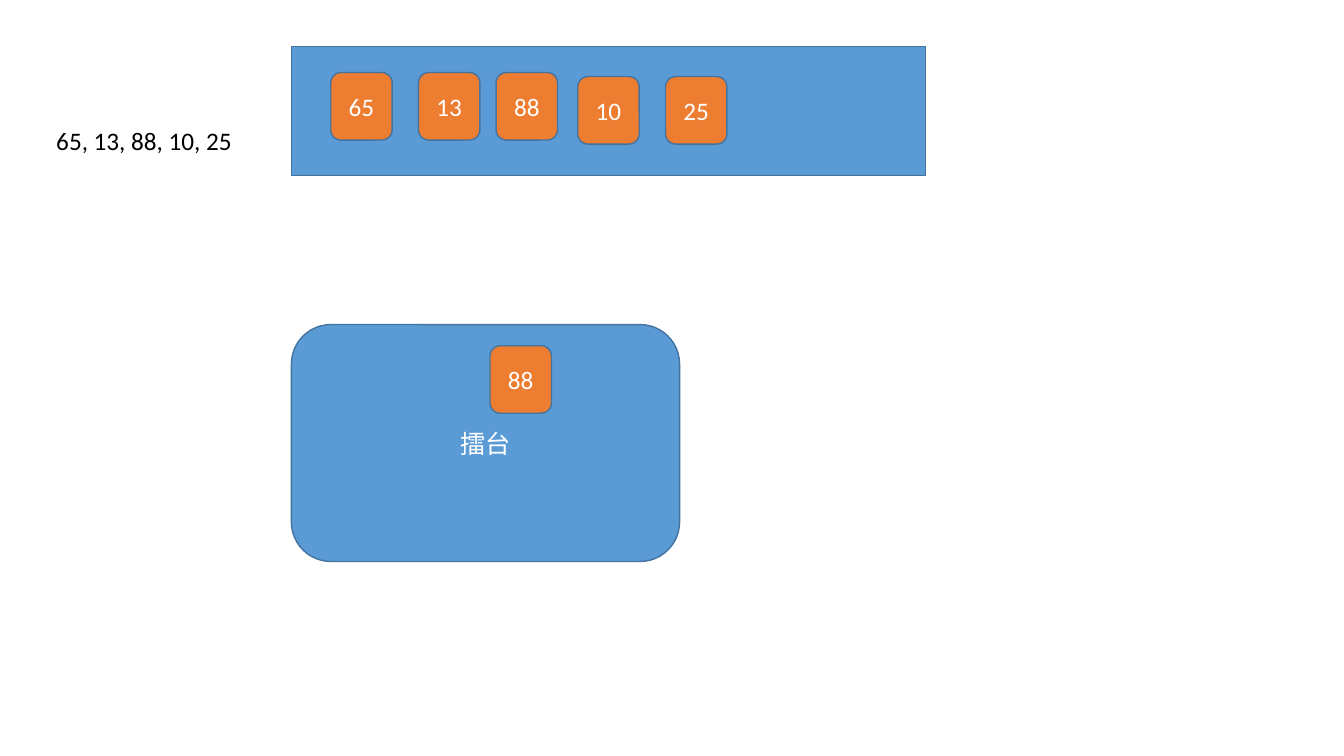
import pptx
import pptx.dml.color
import pptx.enum.shapes
import pptx.enum.text
import pptx.util

Inches = pptx.util.Inches
SHAPES = pptx.enum.shapes.MSO_SHAPE
ALIGN = pptx.enum.text.PP_ALIGN
ANCHOR = pptx.enum.text.MSO_ANCHOR
AUTO_SIZE = pptx.enum.text.MSO_AUTO_SIZE

BLUE, ORANGE, OUTLINE = "5B9BD5", "ED7D31", "43739E"
WHITE, BLACK = "FFFFFF", "000000"


def color(hex_string):
    return pptx.dml.color.RGBColor.from_string(hex_string)


class SlideBuilder:
    """Holds the text style and the current slide."""

    font_format = {"name": "Calibri", "size": pptx.util.Pt(18)}

    def __init__(self, slide):
        self.slide = slide

    def set_text(self, shape, text, text_color, alignment, frame_format):
        frame = shape.text_frame
        for name, value in frame_format.items():
            setattr(frame, name, value)
        paragraph = frame.paragraphs[0]
        paragraph.alignment = alignment
        run = paragraph.add_run()
        run.text = text
        for name, value in self.font_format.items():
            setattr(run.font, name, value)
        run.font.color.rgb = color(text_color)

    def box(self, kind, left, top, width, height, fill, text=""):
        shape = self.slide.shapes.add_shape(
            kind, Inches(left), Inches(top), Inches(width), Inches(height))
        shape.shadow.inherit = False
        shape.fill.solid()
        shape.fill.fore_color.rgb = color(fill)
        shape.line.color.rgb = color(OUTLINE)
        shape.line.width = pptx.util.Pt(1)
        if text:
            self.set_text(shape, text, WHITE, ALIGN.CENTER,
                          {"vertical_anchor": ANCHOR.MIDDLE, "word_wrap": True})

    def card(self, left, top, number):
        self.box(SHAPES.ROUNDED_RECTANGLE, left, top, 0.61, 0.67, ORANGE, str(number))

    def label(self, left, top, width, height, text):
        shape = self.slide.shapes.add_textbox(
            Inches(left), Inches(top), Inches(width), Inches(height))
        self.set_text(shape, text, BLACK, ALIGN.LEFT,
                      {"word_wrap": False, "auto_size": AUTO_SIZE.SHAPE_TO_FIT_TEXT})


presentation = pptx.Presentation()
presentation.slide_width = Inches(13.33)
presentation.slide_height = Inches(7.5)
builder = SlideBuilder(presentation.slides.add_slide(presentation.slide_layouts[6]))

# Row of numbers waiting in the array
cards = [(3.28, 0.72, 65), (4.15, 0.72, 13), (4.92, 0.72, 88),
         (5.73, 0.76, 10), (6.6, 0.76, 25)]
builder.box(SHAPES.RECTANGLE, 2.89, 0.46, 6.29, 1.28, BLUE)
for left, top, number in cards:
    builder.card(left, top, number)

# The same numbers as a list
builder.label(0.46, 1.19, 1.97, 0.4, ", ".join(str(number) for _, _, number in cards))

# Arena holding the current maximum
builder.box(SHAPES.ROUNDED_RECTANGLE, 2.89, 3.22, 3.85, 2.35, BLUE, "擂台")
builder.card(4.86, 3.43, max(number for _, _, number in cards))

presentation.save("out.pptx")
